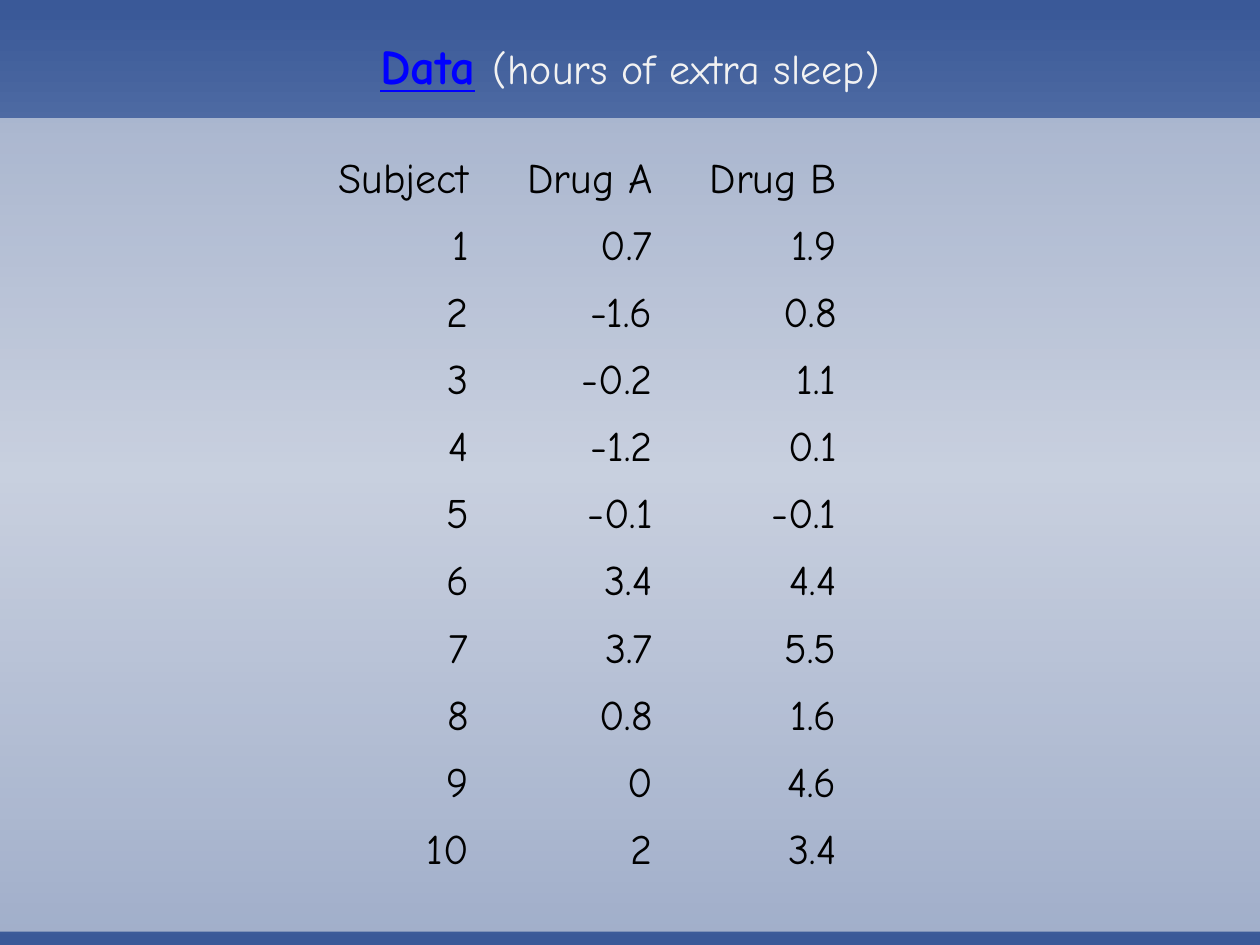
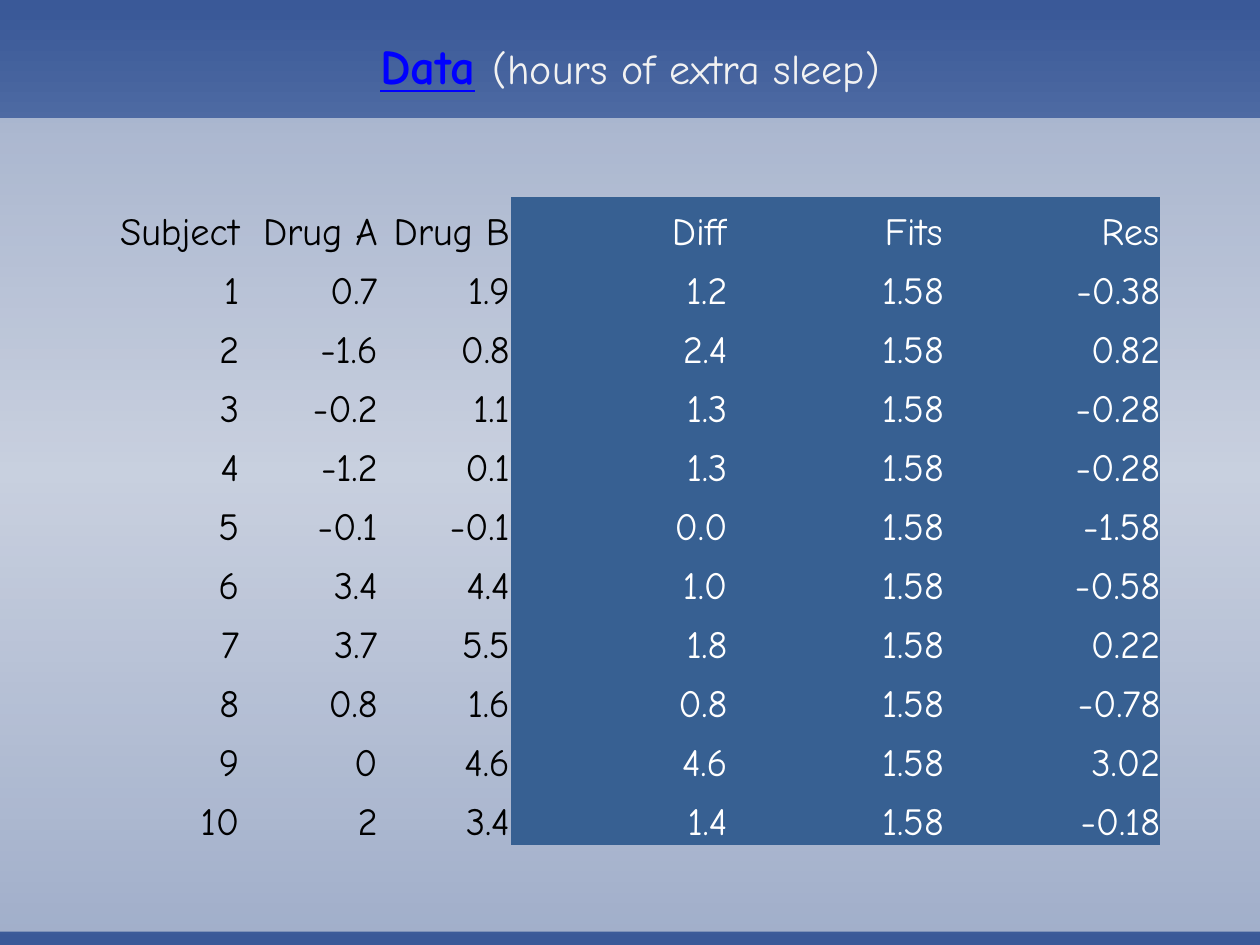
from lxml.etree import SubElement
from pptx import Presentation
from pptx.dml.color import RGBColor
from pptx.enum.shapes import MSO_SHAPE
from pptx.enum.text import MSO_ANCHOR, MSO_AUTO_SIZE, PP_ALIGN
from pptx.oxml.ns import qn
from pptx.util import Inches, Pt

SLIDE_WIDTH, SLIDE_HEIGHT = Inches(10), Inches(7.5)
FONT = "Comic Neue"
NAVY = RGBColor(0x3A, 0x59, 0x98)
MIST = RGBColor(0x94, 0xA5, 0xC7)
PALE = RGBColor(0xF2, 0xF2, 0xF2)
STEEL = RGBColor(0x37, 0x60, 0x92)
LINK_BLUE = RGBColor(0x00, 0x00, 0xFF)
BLACK = RGBColor(0x00, 0x00, 0x00)
WHITE = RGBColor(0xFF, 0xFF, 0xFF)

BACKGROUND_STOPS = [(0, NAVY), (1, NAVY), (50, MIST), (100, NAVY)]
PANEL_BOX = (0, 0.125, 1, 0.861)
PANEL_OPACITY = 56
PLAIN_TABLE_STYLE = "{2D5ABB26-0587-4C30-8999-92F81FD0307C}"
CELL_INSET = Inches(0.01)

DRUG_A = ["0.7", "-1.6", "-0.2", "-1.2", "-0.1", "3.4", "3.7", "0.8", "0", "2"]
DRUG_B = ["1.9", "0.8", "1.1", "0.1", "-0.1", "4.4", "5.5", "1.6", "4.6", "3.4"]
HEADINGS = ("Subject", "Drug A", "Drug B")
MODEL_HEADINGS = ("Diff", "Fits", "Res")


def place(box):
    """Turn a box in shares of the slide into lengths."""
    left, top, width, height = box
    return (round(left * SLIDE_WIDTH), round(top * SLIDE_HEIGHT),
            round(width * SLIDE_WIDTH), round(height * SLIDE_HEIGHT))


def paint_background(master):
    """Give the master the vertical gradient that all slides share."""
    fill = master.background.fill
    fill.gradient()
    fill.gradient_angle = 270
    stops = master.element.find(f".//{qn('p:bg')}//{qn('a:gsLst')}")
    for stop in list(stops):
        stops.remove(stop)
    for percent, color in BACKGROUND_STOPS:
        stop = SubElement(stops, qn("a:gs"), pos=str(percent * 1000))
        SubElement(stop, qn("a:srgbClr"), val=str(color))


def add_panel(slide, box):
    """Lay the translucent pale panel over the background."""
    panel = slide.shapes.add_shape(MSO_SHAPE.RECTANGLE, *place(box))
    panel.shadow.inherit = False
    panel.fill.solid()
    panel.fill.fore_color.rgb = PALE
    panel.line.fill.background()
    color = panel.element.spPr.find(f"{qn('a:solidFill')}/{qn('a:srgbClr')}")
    SubElement(color, qn("a:alpha"), val=str(PANEL_OPACITY * 1000))


def fill_title(slide, box):
    """Place the title and write its underlined word and its unit."""
    title = slide.shapes.title
    title.left, title.top, title.width, title.height = place(box)
    frame = title.text_frame
    frame.word_wrap = True
    frame.auto_size = MSO_AUTO_SIZE.SHAPE_TO_FIT_TEXT
    frame.vertical_anchor = MSO_ANCHOR.TOP
    paragraph = frame.paragraphs[0]
    paragraph.alignment = PP_ALIGN.CENTER
    paragraph.line_spacing = 1.5
    for text, size, color, bold, underline in (
            ("Data", 28, LINK_BLUE, True, True),
            (" ", 28, PALE, True, False),
            ("(hours of extra sleep)", 24, PALE, False, False)):
        run = paragraph.add_run()
        run.text = text
        font = run.font
        font.name, font.size, font.color.rgb = FONT, Pt(size), color
        font.bold, font.underline = bold, underline


def fill_cell(cell, text, size, highlighted, inset):
    """Write one right-aligned cell, on steel blue when highlighted."""
    cell.vertical_anchor = MSO_ANCHOR.BOTTOM
    cell.margin_left = cell.margin_top = cell.margin_right = inset
    cell.margin_bottom = 0
    if highlighted:
        cell.fill.solid()
        cell.fill.fore_color.rgb = STEEL
    else:
        cell.fill.background()
    cell.text = text
    paragraph = cell.text_frame.paragraphs[0]
    paragraph.alignment = PP_ALIGN.RIGHT
    font = paragraph.font
    font.name, font.size = FONT, Pt(size)
    font.color.rgb = WHITE if highlighted else BLACK


def add_data_table(slide, box, rows, column_weights, size):
    """Fill the box with rows, highlighting the columns after the drugs."""
    left, top, width, height = place(box)
    graphic = slide.shapes.add_table(len(rows), len(column_weights), left, top, width, height)
    graphic.element.find(f".//{qn('a:tableStyleId')}").text = PLAIN_TABLE_STYLE
    table = graphic.table
    table.first_row = table.horz_banding = False
    for column, weight in zip(table.columns, column_weights):
        column.width = round(width * weight / sum(column_weights))
    for row_index, row in enumerate(rows):
        table.rows[row_index].height = round(height / len(rows))
        for column_index, text in enumerate(row):
            highlighted = column_index >= len(HEADINGS)
            inset = 0 if highlighted and row_index else CELL_INSET
            fill_cell(table.cell(row_index, column_index), text, size, highlighted, inset)


def measured_rows():
    """List the subjects with the hours measured for each drug."""
    subjects = [str(number) for number in range(1, len(DRUG_A) + 1)]
    return [HEADINGS, *zip(subjects, DRUG_A, DRUG_B)]


def model_rows():
    """Extend the measured rows with difference, mean fit and residual."""
    differences = [float(b) - float(a) for a, b in zip(DRUG_A, DRUG_B)]
    fit = sum(differences) / len(differences)
    model = [(f"{difference:.1f}", f"{fit:.2f}", f"{difference - fit:.2f}")
             for difference in differences]
    return [measured + extra
            for measured, extra in zip(measured_rows(), [MODEL_HEADINGS, *model])]


def add_data_slide(presentation, title_height, table_box, rows, column_weights, size):
    """Add a slide with the shared panel and title and one data table."""
    slide = presentation.slides.add_slide(presentation.slide_layouts.get_by_name("Title Only"))
    add_panel(slide, PANEL_BOX)
    add_data_table(slide, table_box, rows, column_weights, size)
    fill_title(slide, (0, 0, 1, title_height))


def main():
    """Build both slides and save them."""
    presentation = Presentation()
    presentation.slide_width, presentation.slide_height = SLIDE_WIDTH, SLIDE_HEIGHT
    paint_background(presentation.slide_master)
    add_data_slide(presentation, 0.097, (0.227, 0.145, 0.438, 0.781),
                   measured_rows(), (1, 1, 1), 24)
    add_data_slide(presentation, 0.108, (0.062, 0.208, 0.859, 0.687),
                   model_rows(), (1.29, 1.1, 1.05, 1.72, 1.72, 1.72), 22)
    presentation.save("out.pptx")


if __name__ == "__main__":
    main()
